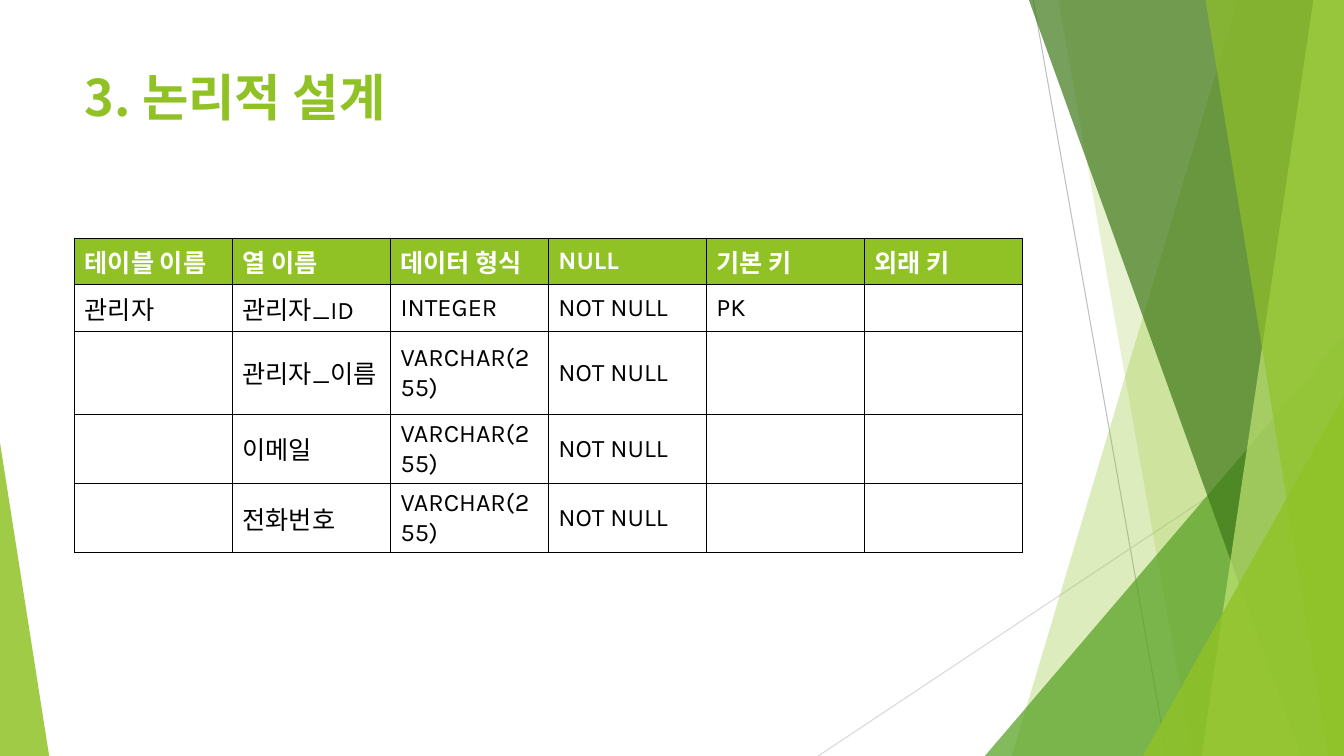
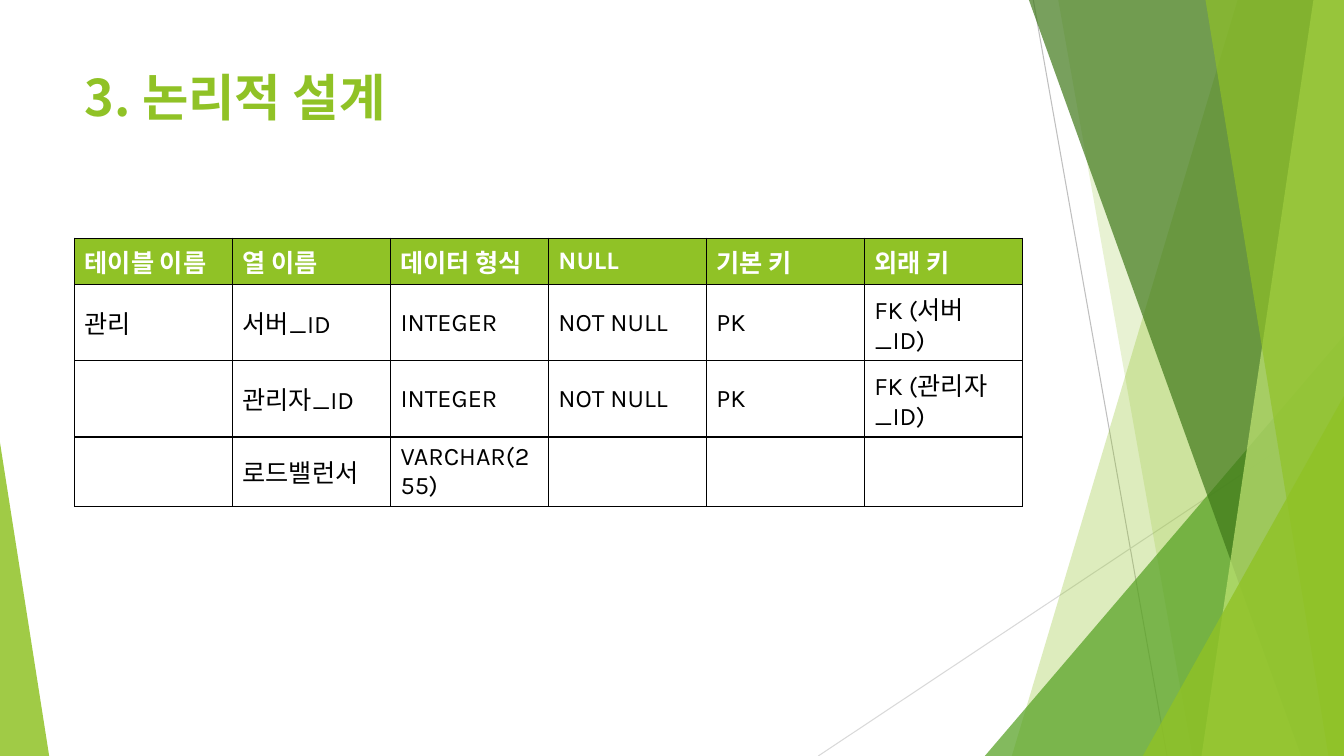
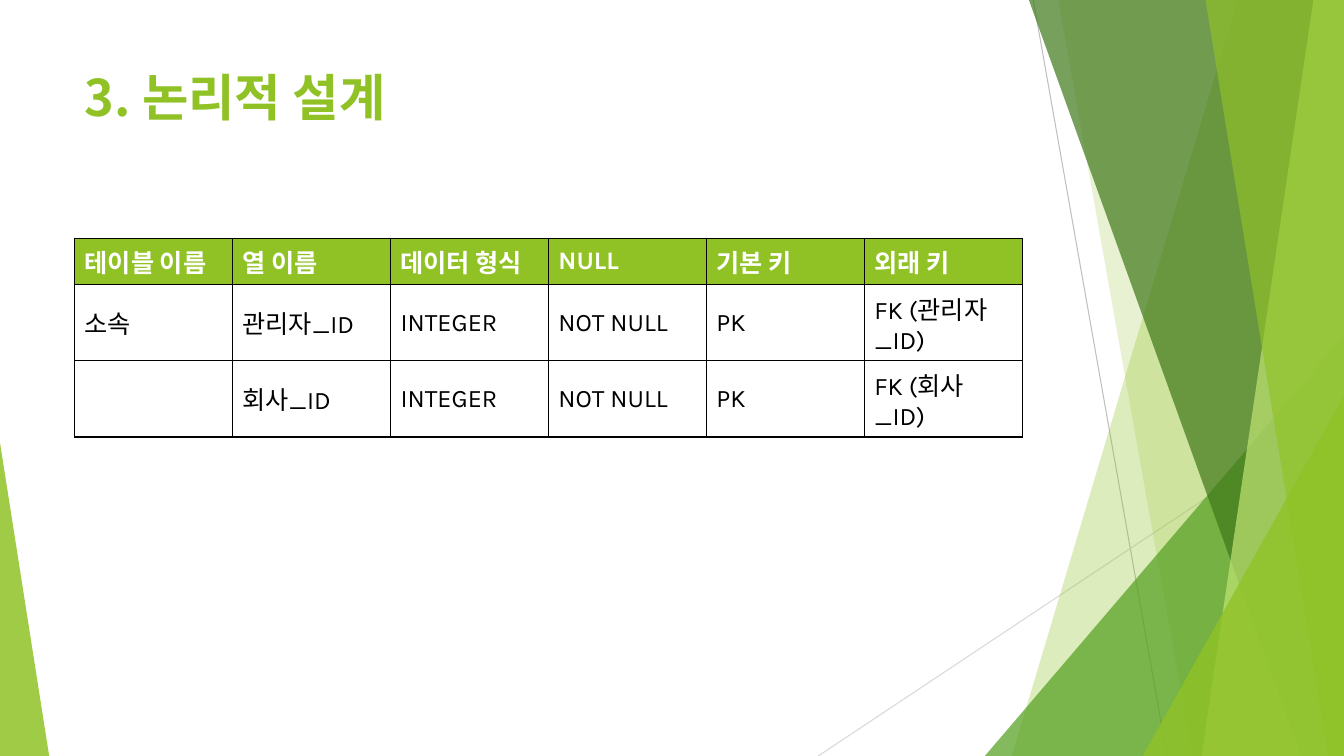
from dataclasses import dataclass

from lxml.etree import SubElement
from pptx import Presentation
from pptx.dml.color import RGBColor
from pptx.enum.shapes import MSO_CONNECTOR, MSO_SHAPE
from pptx.enum.text import MSO_ANCHOR, PP_ALIGN
from pptx.oxml.ns import qn
from pptx.util import Cm, Pt

STRAIGHT = MSO_CONNECTOR.STRAIGHT
TRIANGLE = MSO_SHAPE.ISOSCELES_TRIANGLE
TOP = MSO_ANCHOR.TOP
MIDDLE = MSO_ANCHOR.MIDDLE
LEFT = PP_ALIGN.LEFT
TITLE_ONLY = 5


@dataclass(frozen=True)
class Theme:
    width: float = 33.87
    height: float = 19.05
    margin: float = 1.88
    content_width: float = 23.88
    green: str = "90C226"
    mid_green: str = "54A021"
    dark_green: str = "3F7819"
    light_green: str = "C0E474"
    white: str = "FFFFFF"
    black: str = "000000"
    grey: str = "BFBFBF"
    light_grey: str = "D9D9D9"
    latin_font: str = "Karla"
    korean_font: str = "Noto Sans CJK KR"
    title_size: int = 36
    table_size: int = 18
    border_width: float = 1
    ray_width: float = 0.75


THEME = Theme()

HEADERS = ["테이블 이름", "열 이름", "데이터 형식", "NULL", "기본 키", "외래 키"]
TITLE = "3. 논리적 설계"
TABLES = [
    [
        ["관리자", "관리자_ID", "INTEGER", "NOT NULL", "PK", ""],
        ["", "관리자_이름", "VARCHAR(255)", "NOT NULL", "", ""],
        ["", "이메일", "VARCHAR(255)", "NOT NULL", "", ""],
        ["", "전화번호", "VARCHAR(255)", "NOT NULL", "", ""],
    ],
    [
        ["관리", "서버_ID", "INTEGER", "NOT NULL", "PK", "FK (서버_ID)"],
        ["", "관리자_ID", "INTEGER", "NOT NULL", "PK", "FK (관리자_ID)"],
        ["", "로드밸런서", "VARCHAR(255)", "", "", ""],
    ],
    [
        ["소속", "관리자_ID", "INTEGER", "NOT NULL", "PK", "FK (관리자_ID)"],
        ["", "회사_ID", "INTEGER", "NOT NULL", "PK", "FK (회사_ID)"],
    ],
]


def write_text(frame, text, *, size, color, font=THEME.latin_font, bold=False, line_spacing=None):
    paragraph = frame.paragraphs[0]
    paragraph.alignment = LEFT
    paragraph.line_spacing = line_spacing
    run = paragraph.add_run()
    run.text = text
    run.font.size = Pt(size)
    run.font.bold = bold
    run.font.color.rgb = RGBColor.from_string(color)
    run.font.name = font
    properties = run.font.element if hasattr(run.font, "element") else run._r.get_or_add_rPr()
    SubElement(properties, qn("a:ea"), typeface=THEME.korean_font)


def paint(shape, color, opacity):
    shape.shadow.inherit = False
    shape.line.fill.background()
    shape.fill.solid()
    shape.fill.fore_color.rgb = RGBColor.from_string(color)
    solid_color = shape.element.spPr.find(qn("a:solidFill")).find(qn("a:srgbClr"))
    SubElement(solid_color, qn("a:alpha"), val=str(opacity * 1000))


def add_ray(slide, start, end, color):
    ray = slide.shapes.add_connector(STRAIGHT, *(Cm(value) for value in (*start, *end)))
    ray.line.color.rgb = RGBColor.from_string(color)
    ray.line.width = Pt(THEME.ray_width)
    SubElement(ray.element.spPr, qn("a:effectLst"))


def add_band(slide, top_left, bottom_left, color, opacity):
    builder = slide.shapes.build_freeform(Cm(top_left), 0)
    corners = [(THEME.width, 0), (THEME.width, THEME.height), (bottom_left, THEME.height)]
    builder.add_line_segments([(Cm(x), Cm(y)) for x, y in corners], close=True)
    paint(builder.convert_to_shape(), color, opacity)


def add_corner(slide, left, top, width, peak, color, opacity):
    corner = slide.shapes.add_shape(
        TRIANGLE, Cm(left), Cm(top), Cm(width), Cm(THEME.height - top)
    )
    corner.adjustments[0] = peak
    paint(corner, color, opacity)


def add_right_corner(slide, left, top, color, opacity):
    add_corner(slide, left, top, THEME.width - left, 1, color, opacity)


def draw_facets(slide):
    add_ray(slide, (26.04, 0), (29.41, THEME.height), THEME.grey)
    add_ray(slide, (THEME.width, 10.24), (20.62, THEME.height), THEME.light_grey)
    add_band(slide, 31.19, 25.5, THEME.green, 30)
    add_band(slide, 26.67, 30.05, THEME.green, 20)
    add_right_corner(slide, 24.82, 8.46, THEME.mid_green, 72)
    add_band(slide, 25.93, 32.79, THEME.dark_green, 70)
    add_band(slide, 33.1, 30.28, THEME.light_green, 70)
    add_band(slide, 30.38, 33.48, THEME.green, 65)
    add_right_corner(slide, 28.8, 9.98, THEME.green, 80)
    add_corner(slide, 0, 11.15, 1.24, 0, THEME.green, 85)


def decorate_layout(slide, layout):
    title = slide.shapes.title
    draw_facets(slide)
    for shape in list(slide.shapes):
        if shape.shape_id != title.shape_id:
            layout.shapes.element.append(shape.element)


def remove_footers(layout):
    for placeholder in list(layout.placeholders):
        if placeholder.placeholder_format.idx != 0:
            layout.shapes.element.remove(placeholder.element)


def set_title(slide, text):
    title = slide.shapes.title
    title.left, title.top = Cm(THEME.margin), Cm(1.7)
    title.width, title.height = Cm(THEME.content_width), Cm(3.66)
    title.text_frame.vertical_anchor = TOP
    title.text_frame.word_wrap = True
    write_text(title.text_frame, text, size=THEME.title_size, color=THEME.green,
               font=THEME.korean_font, bold=True, line_spacing=0.9)


def add_borders(cell):
    properties = cell._tc.get_or_add_tcPr()
    for side in ("lnL", "lnR", "lnT", "lnB"):
        border = SubElement(properties, qn(f"a:{side}"), w=str(Pt(THEME.border_width)))
        fill = SubElement(border, qn("a:solidFill"))
        SubElement(fill, qn("a:srgbClr"), val=THEME.black)


def format_cell(cell, text, is_header):
    add_borders(cell)
    cell.vertical_anchor = MIDDLE
    cell.fill.solid()
    cell.fill.fore_color.rgb = RGBColor.from_string(THEME.green if is_header else THEME.white)
    if text:
        write_text(cell.text_frame, text, size=THEME.table_size, bold=is_header,
                   color=THEME.white if is_header else THEME.black)


def add_schema_table(slide, body):
    rows = [HEADERS, *body]
    row_height = Cm(1.03)
    table = slide.shapes.add_table(
        len(rows), len(HEADERS), Cm(THEME.margin), Cm(6),
        Cm(THEME.content_width), row_height * len(rows),
    ).table
    table.horz_banding = False
    for row_index, row in enumerate(rows):
        for column_index, text in enumerate(row):
            format_cell(table.cell(row_index, column_index), text, row_index == 0)


def main():
    presentation = Presentation()
    presentation.slide_width = Cm(THEME.width)
    presentation.slide_height = Cm(THEME.height)
    layout = presentation.slide_layouts[TITLE_ONLY]
    remove_footers(layout)
    slides = [presentation.slides.add_slide(layout) for _ in TABLES]
    decorate_layout(slides[0], layout)
    for slide, body in zip(slides, TABLES):
        set_title(slide, TITLE)
        add_schema_table(slide, body)
    presentation.save("out.pptx")


if __name__ == "__main__":
    main()
